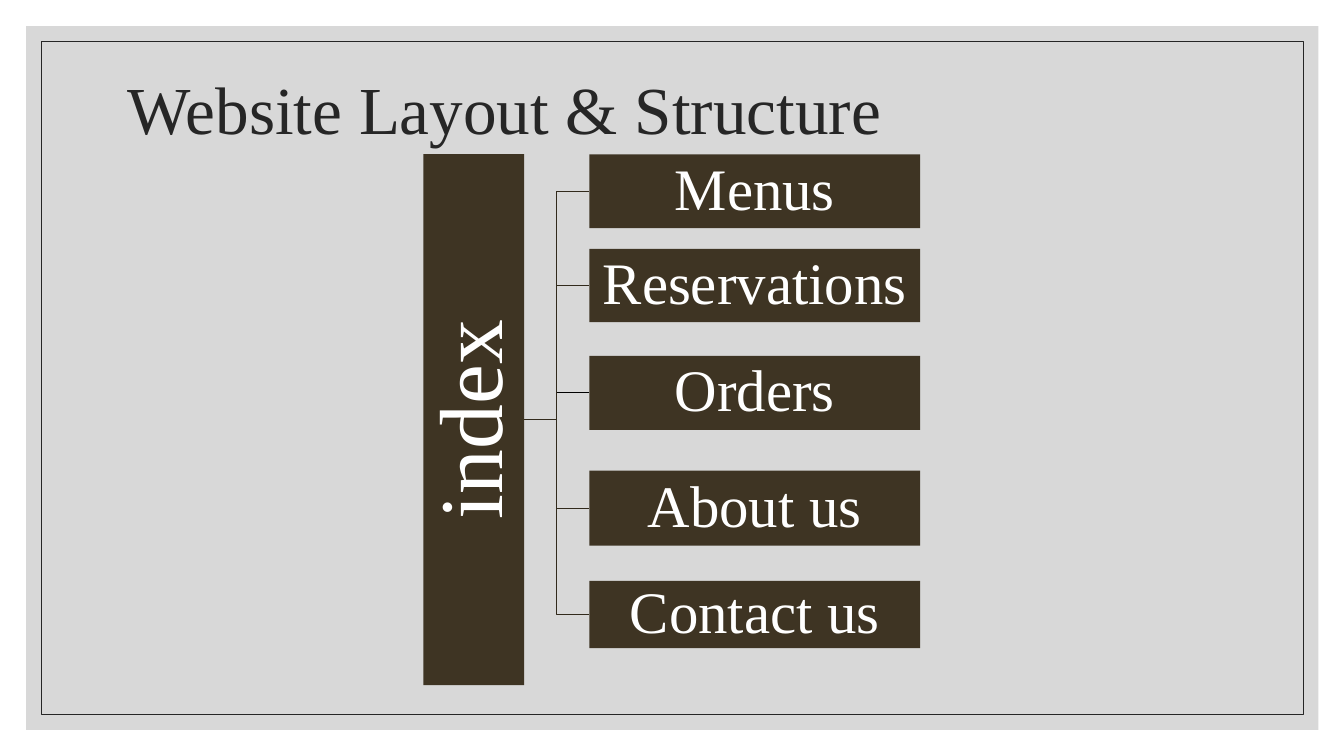
from lxml.etree import SubElement
from pptx import Presentation
from pptx.dml.color import RGBColor
from pptx.enum.shapes import MSO_CONNECTOR, MSO_SHAPE
from pptx.enum.text import MSO_ANCHOR, PP_ALIGN
from pptx.oxml.ns import qn
from pptx.util import Pt

FONT = "Times New Roman"
INK, BROWN, BRANCH, WHITE = "262626", "3E3423", "322A1C", "FFFFFF"
INDEX_RIGHT, INDEX_MIDDLE = 374.4, 299.7
TRUNK_X, PAGE_LEFT, PAGE_WIDTH = 397.6, 421, 236.2
# Page name, top, height
PAGES = [
    ("Menus", 110.2, 52.8),
    ("Reservations", 177.8, 52.4),
    ("Orders", 254.2, 52.8),
    ("About us", 336.2, 53.6),
    ("Contact us", 414.9, 48),
]


def color(hex_string):
    return RGBColor.from_string(hex_string)


def add_rect(slide, x, y, w, h, fill=None, line=None):
    sp = slide.shapes.add_shape(MSO_SHAPE.RECTANGLE, Pt(x), Pt(y), Pt(w), Pt(h))
    sp.shadow.inherit = False
    if fill:
        sp.fill.solid()
        sp.fill.fore_color.rgb = color(fill)
    else:
        sp.fill.background()
    if line:
        sp.line.color.rgb = color(line)
        sp.line.width = Pt(0.5)
    else:
        sp.line.fill.background()
    return sp


def set_opacity(sp, percent):
    clr = sp._element.spPr.find(qn("a:solidFill"))[0]
    SubElement(clr, qn("a:alpha"), val=str(percent * 1000))


def write(sp, text, size, hex_string, align):
    tf = sp.text_frame
    tf.word_wrap = True
    tf.vertical_anchor = MSO_ANCHOR.MIDDLE
    p = tf.paragraphs[0]
    p.alignment = align
    p.line_spacing = 0.9
    r = p.add_run()
    r.text = text
    r.font.name = FONT
    r.font.size = Pt(size)
    r.font.color.rgb = color(hex_string)


def add_node(slide, text, x, y, w, h, size, inset):
    sp = add_rect(slide, x, y, w, h, BROWN)
    tf = sp.text_frame
    tf.margin_left = tf.margin_right = tf.margin_top = tf.margin_bottom = Pt(inset)
    write(sp, text, size, WHITE, PP_ALIGN.CENTER)
    return sp


def add_branch(slide, y):
    """Draw an elbow from the index bar to a page whose middle is at y."""
    fb = slide.shapes.build_freeform(Pt(INDEX_RIGHT), Pt(INDEX_MIDDLE))
    corners = [(TRUNK_X, INDEX_MIDDLE), (TRUNK_X, y), (PAGE_LEFT, y)]
    fb.add_line_segments([(Pt(cx), Pt(cy)) for cx, cy in corners], close=False)
    sp = fb.convert_to_shape()
    sp.shadow.inherit = False
    sp.fill.background()
    sp.line.color.rgb = color(BRANCH)
    sp.line.width = Pt(1)


def add_line(slide, x1, y1, x2, y2):
    ln = slide.shapes.add_connector(
        MSO_CONNECTOR.STRAIGHT, Pt(x1), Pt(y1), Pt(x2), Pt(y2))
    ln.line.color.rgb = color("000000")
    ln.line.width = Pt(0.5)
    SubElement(ln._element.spPr, qn("a:effectLst"))


def main():
    prs = Presentation()
    prs.slide_width, prs.slide_height = Pt(960), Pt(540)
    s = prs.slides.add_slide(prs.slide_layouts[6])

    panel = add_rect(s, 18.7, 18.7, 923, 502.6, "BFBFBF")
    set_opacity(panel, 60)
    add_rect(s, 29.5, 29.5, 901.5, 481, line=INK)

    title = s.shapes.add_textbox(Pt(84.2), Pt(50.4), Pt(792), Pt(59.8))
    write(title, "Website Layout & Structure", 48, INK, PP_ALIGN.LEFT)

    for name, top, height in PAGES:
        if name != "Orders":
            add_branch(s, top + height / 2)

    length, thickness = 379.4, 72
    index = add_node(s, "index", INDEX_RIGHT - (thickness + length) / 2,
                     INDEX_MIDDLE - thickness / 2, length, thickness, 64, 2.9)
    index.rotation = 270

    for name, top, height in PAGES:
        add_node(s, name, PAGE_LEFT, top, PAGE_WIDTH, height, 42, 2.2)
        if name == "Orders":
            middle = top + height / 2
            add_line(s, TRUNK_X, middle, PAGE_LEFT, middle)

    prs.save("out.pptx")


if __name__ == "__main__":
    main()
